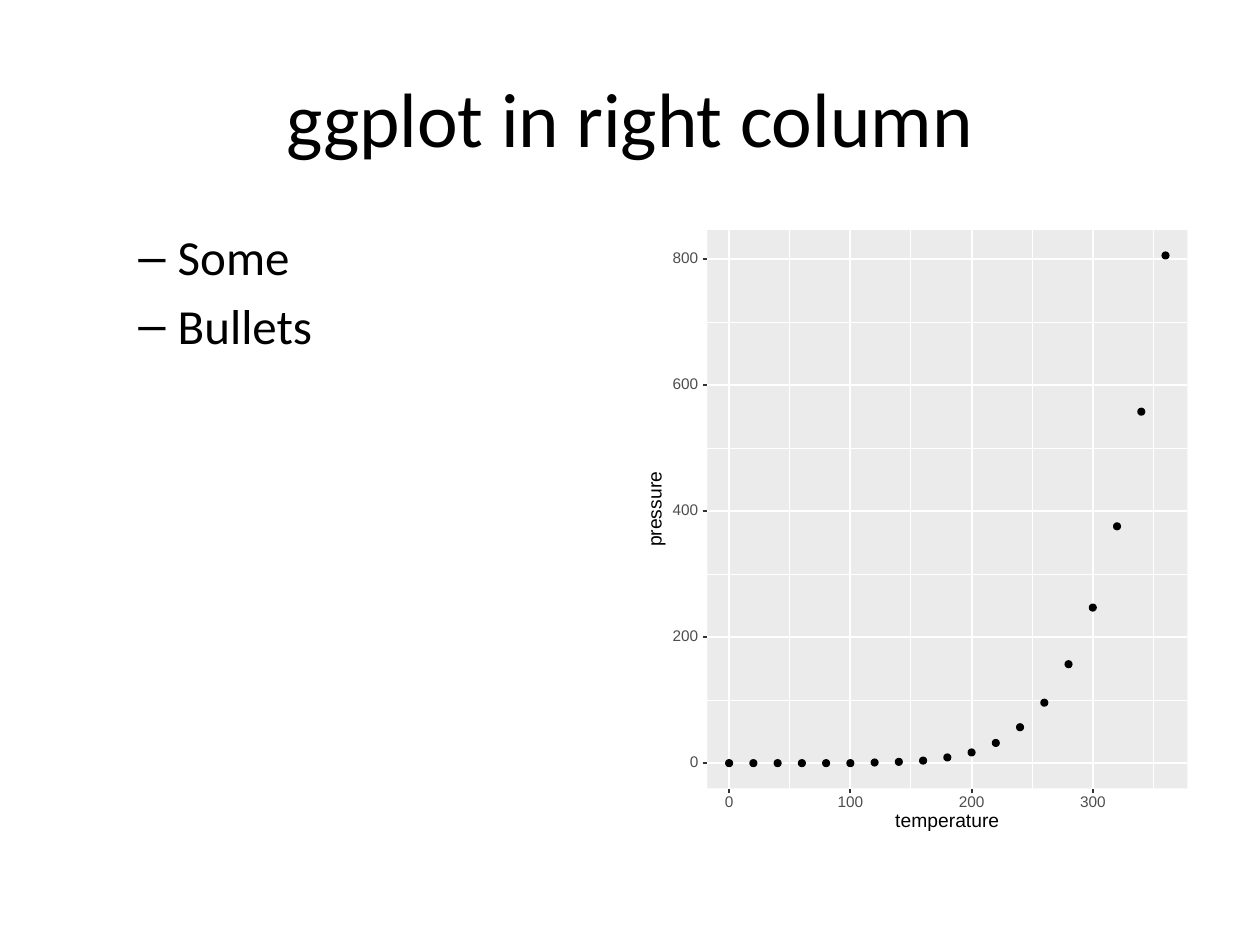
"""Build a slide with two bullets and a scatter plot of pressure against temperature."""
from typing import Any, NamedTuple

from lxml import etree
from pptx import Presentation
from pptx.dml.color import RGBColor
from pptx.enum.shapes import MSO_CONNECTOR, MSO_SHAPE
from pptx.enum.text import MSO_ANCHOR, PP_ALIGN
from pptx.oxml.ns import qn
from pptx.util import Pt

RECTANGLE, OVAL = MSO_SHAPE.RECTANGLE, MSO_SHAPE.OVAL
STRAIGHT = MSO_CONNECTOR.STRAIGHT
MIDDLE, TOP = MSO_ANCHOR.MIDDLE, MSO_ANCHOR.TOP
CENTER, LEFT = PP_ALIGN.CENTER, PP_ALIGN.LEFT
WHITE, BLACK = "FFFFFF", "000000"
PANEL_GRAY, LABEL_GRAY, TICK_GRAY = "EBEBEB", "4D4D4D", "333333"
MINOR_WIDTH, MAJOR_WIDTH, DOT_LINE_WIDTH = 0.53, 1.07, 0.71
DOT_SIZE, TICK_LENGTH, DIGIT_WIDTH = 3.9, 2.74, 5
TEMPERATURE_STEP = 20
PRESSURES = [0, 0, 0, 0, 0, 0, 1, 2, 4, 9, 17, 32, 57, 96, 157, 247, 376, 558, 806]


class Box(NamedTuple):
    left: float
    top: float
    width: float
    height: float

    def lengths(self) -> list[int]:
        return [Pt(value) for value in self]


class TextStyle(NamedTuple):
    size: float
    font: str
    color: str


class Label(NamedTuple):
    text: str
    center_x: float
    center_y: float
    width: float
    height: float
    style: TextStyle
    rotation: float = 0


TITLE_STYLE = TextStyle(44, "Calibri", BLACK)
BULLET_STYLE = TextStyle(28, "Calibri", BLACK)
TICK_STYLE = TextStyle(8.8, "Arial", LABEL_GRAY)
AXIS_STYLE = TextStyle(11, "Arial", BLACK)
PLOT = Box(365.76, 126, 318.24, 356.4)
PANEL = Box(404.2, 131.5, 274.3, 319.1)
RIGHT, BOTTOM = PANEL.left + PANEL.width, PANEL.top + PANEL.height


def set_all(target: Any, values: dict[str, Any]) -> None:
    for name, value in values.items():
        setattr(target, name, value)


def color(hex_value: str) -> RGBColor:
    return RGBColor.from_string(hex_value)


def x_position(temperature: float) -> float:
    largest = TEMPERATURE_STEP * (len(PRESSURES) - 1)
    return PANEL.left + PANEL.width * (temperature / largest + 0.05) / 1.1


def y_position(pressure: float) -> float:
    return BOTTOM - PANEL.height * (pressure / max(PRESSURES) + 0.05) / 1.1


def add_filled(shapes: Any, kind: Any, box: Box, fill: str, line_width: float = 0) -> None:
    shape = shapes.add_shape(kind, *box.lengths())
    shape.shadow.inherit = False
    shape.fill.solid()
    shape.fill.fore_color.rgb = color(fill)
    if line_width:
        shape.line.color.rgb = color(fill)
        shape.line.width = Pt(line_width)
    else:
        shape.line.fill.background()


def add_line(shapes: Any, ends: tuple[float, ...], line_color: str, width: float) -> None:
    line = shapes.add_connector(STRAIGHT, *[Pt(value) for value in ends])
    line.line.color.rgb = color(line_color)
    line.line.width = Pt(width)
    etree.SubElement(line.element.spPr, qn("a:effectLst"))


def add_text(shapes: Any, box: Box, lines: list[str], style: TextStyle,
             frame_format: dict[str, Any], paragraph_format: dict[str, Any]) -> Any:
    shape = shapes.add_textbox(*box.lengths())
    frame = shape.text_frame
    set_all(frame, frame_format)
    frame.text = "\n".join(lines)
    for paragraph in frame.paragraphs:
        set_all(paragraph, paragraph_format)
        set_all(paragraph.runs[0].font, {"size": Pt(style.size), "name": style.font})
        paragraph.runs[0].font.color.rgb = color(style.color)
    return shape


def add_bullets(shapes: Any, box: Box, lines: list[str]) -> None:
    shape = add_text(shapes, box, lines, BULLET_STYLE,
                     {"word_wrap": True, "vertical_anchor": TOP},
                     {"alignment": LEFT, "level": 1, "space_before": Pt(5.6)})
    for paragraph in shape.text_frame.paragraphs:
        properties = paragraph._p.get_or_add_pPr()
        properties.set("marL", str(Pt(58.5)))
        properties.set("indent", str(Pt(-22.5)))
        etree.SubElement(properties, qn("a:buFont"), typeface="Arial")
        etree.SubElement(properties, qn("a:buChar"), char="–")


def add_label(shapes: Any, label: Label) -> None:
    box = Box(label.center_x - label.width / 2, label.center_y - label.height / 2,
              label.width, label.height)
    margins = {f"margin_{side}": 0 for side in ("left", "right", "top", "bottom")}
    shape = add_text(shapes, box, [label.text], label.style,
                     {"word_wrap": False, "vertical_anchor": MIDDLE, **margins},
                     {"alignment": CENTER, "line_spacing": Pt(label.style.size)})
    shape.rotation = label.rotation


def add_grid(shapes: Any, pressures: range, temperatures: range, width: float) -> None:
    for y in map(y_position, pressures):
        add_line(shapes, (PANEL.left, y, RIGHT, y), WHITE, width)
    for x in map(x_position, temperatures):
        add_line(shapes, (x, BOTTOM, x, PANEL.top), WHITE, width)


def add_plot(shapes: Any) -> None:
    pressure_ticks, temperature_ticks = range(0, 801, 200), range(0, 301, 100)
    add_filled(shapes, RECTANGLE, PLOT, WHITE, MAJOR_WIDTH)
    add_filled(shapes, RECTANGLE, PANEL, PANEL_GRAY)
    add_grid(shapes, range(100, 701, 200), range(50, 351, 100), MINOR_WIDTH)
    add_grid(shapes, pressure_ticks, temperature_ticks, MAJOR_WIDTH)
    for index, pressure in enumerate(PRESSURES):
        x, y = x_position(index * TEMPERATURE_STEP), y_position(pressure)
        dot = Box(x - DOT_SIZE / 2, y - DOT_SIZE / 2, DOT_SIZE, DOT_SIZE)
        add_filled(shapes, OVAL, dot, BLACK, DOT_LINE_WIDTH)
    labels = []
    for tick in pressure_ticks:
        y, width = y_position(tick), DIGIT_WIDTH * len(str(tick))
        add_line(shapes, (PANEL.left - TICK_LENGTH, y, PANEL.left, y), TICK_GRAY, MAJOR_WIDTH)
        labels.append(Label(str(tick), 399.2 - width / 2, y, width, 6.3, TICK_STYLE))
    for tick in temperature_ticks:
        x, width = x_position(tick), DIGIT_WIDTH * len(str(tick))
        add_line(shapes, (x, BOTTOM + TICK_LENGTH, x, BOTTOM), TICK_GRAY, MAJOR_WIDTH)
        labels.append(Label(str(tick), x, 459, width, 6.3, TICK_STYLE))
    center_x, center_y = (PANEL.left + RIGHT) / 2, (PANEL.top + BOTTOM) / 2
    labels.append(Label("temperature", center_x, 469.8, 64, 9.4, AXIS_STYLE))
    labels.append(Label("pressure", 374.8, center_y, 48, 7.9, AXIS_STYLE, 270))
    for label in labels:
        add_label(shapes, label)


def main() -> None:
    presentation = Presentation()
    set_all(presentation, {"slide_width": Pt(720), "slide_height": Pt(540)})
    slide = presentation.slides.add_slide(presentation.slide_layouts[6])
    add_text(slide.shapes, Box(36, 21.6, 648, 90), ["ggplot in right column"], TITLE_STYLE,
             {"word_wrap": True, "vertical_anchor": MIDDLE}, {"alignment": CENTER})
    add_bullets(slide.shapes, Box(36, 126, 648, 356.4), ["Some", "Bullets"])
    add_plot(slide.shapes.add_group_shape().shapes)
    presentation.save("out.pptx")


main()
